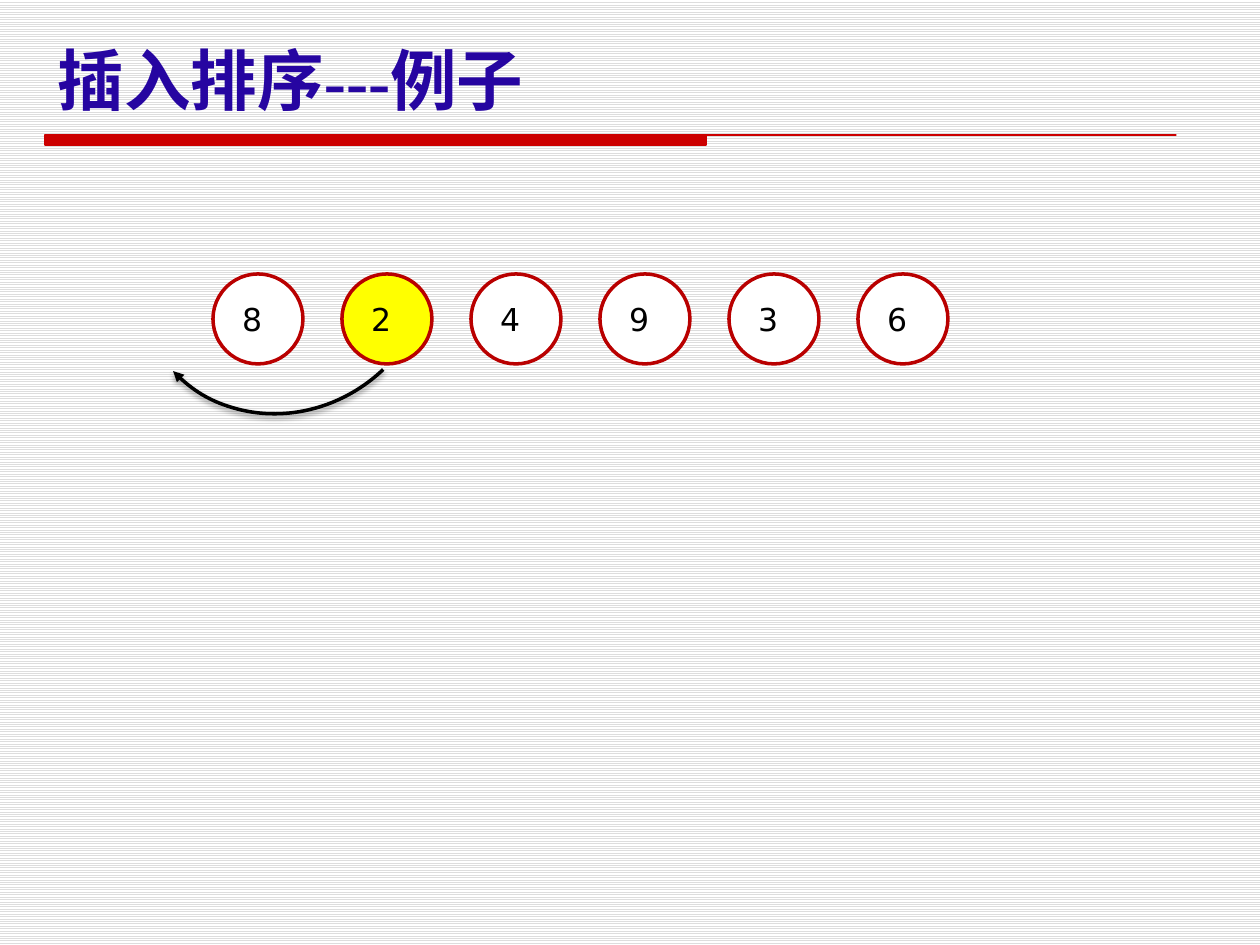
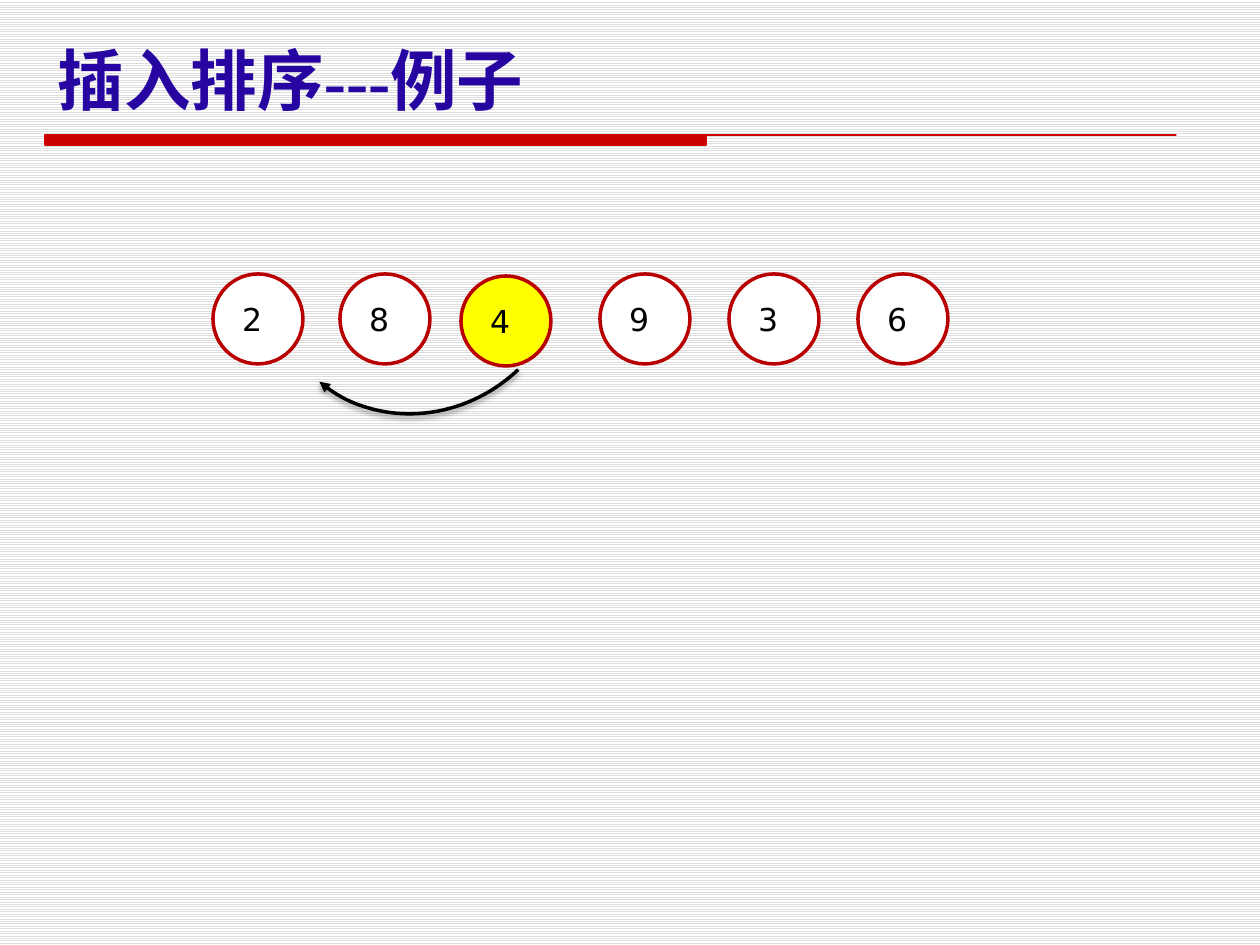
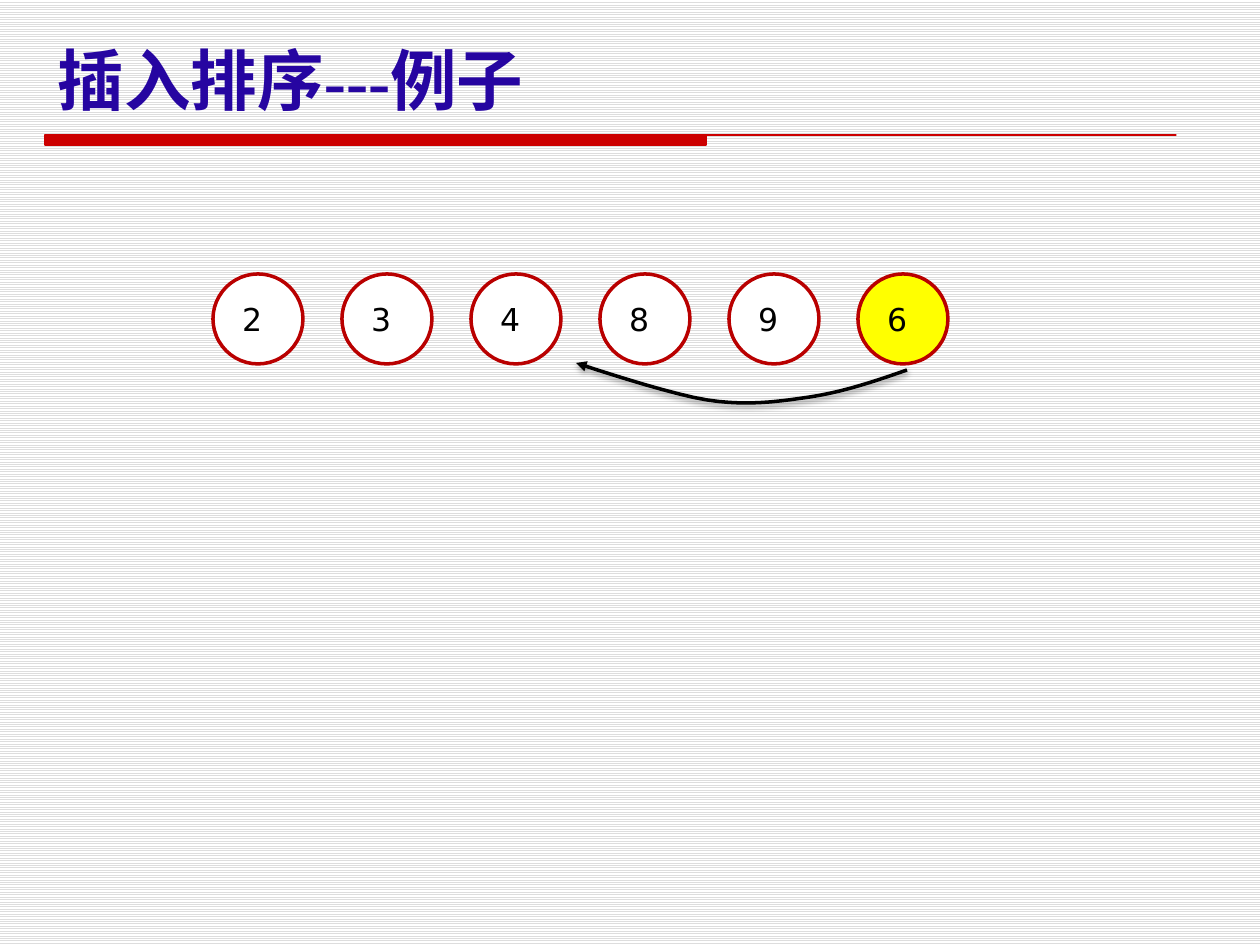
from lxml import etree
from pptx import Presentation
from pptx.dml.color import RGBColor
from pptx.enum.dml import MSO_PATTERN
from pptx.enum.shapes import MSO_SHAPE
from pptx.enum.text import MSO_ANCHOR, MSO_AUTO_SIZE, PP_ALIGN
from pptx.oxml.ns import qn
from pptx.util import Inches, Pt

ELLIPSE = MSO_SHAPE.OVAL
ARC = MSO_SHAPE.ARC
LEFT = PP_ALIGN.LEFT
BOTTOM = MSO_ANCHOR.BOTTOM
MIDDLE = MSO_ANCHOR.MIDDLE
NO_FIT = MSO_AUTO_SIZE.NONE
STRIPES = MSO_PATTERN.LIGHT_HORIZONTAL

WHITE = RGBColor(0xFF, 0xFF, 0xFF)
BLACK = RGBColor(0x00, 0x00, 0x00)
YELLOW = RGBColor(0xFF, 0xFF, 0x00)
RULE_RED = RGBColor(0xCC, 0x00, 0x00)
RING_RED = RGBColor(0xB9, 0x00, 0x00)
STRIPE_GREY = RGBColor(0xDD, 0xDD, 0xDD)
TITLE_BLUE = RGBColor(0x26, 0x05, 0xA1)

TITLE = "插入排序---例子"
SCALE = 914400 / 126
CIRCLE_LEFT, CIRCLE_TOP, CIRCLE_SIZE, CIRCLE_STEP = 213, 274, 90, 129
ARC_TOP, ARC_WIDTH, ARC_HEIGHT, ARC_TURN = 112, 287, 307, 46.5
CURVE_STEPS = 10


def px(length):
    return round(length * SCALE)


def style_arrow(arrow, end):
    arrow.fill.background()
    arrow.line.color.rgb = BLACK
    arrow.line.width = Pt(2)
    arrow.shadow.inherit = False
    properties = arrow.element.spPr
    etree.SubElement(properties.find(qn("a:ln")), qn(end), type="triangle")
    shadow = etree.SubElement(
        properties.find(qn("a:effectLst")), qn("a:outerShdw"),
        blurRad="40000", dist="20000", dir="5400000", rotWithShape="0")
    color = etree.SubElement(shadow, qn("a:srgbClr"), val=str(BLACK))
    etree.SubElement(color, qn("a:alpha"), val="38000")


deck = Presentation()
deck.slide_width = Inches(10)
deck.slide_height = Inches(7.5)
master = deck.slide_master
background = master.background.fill
background.patterned()
background.pattern = STRIPES
background.fore_color.rgb = STRIPE_GREY
background.back_color.rgb = WHITE

steps = [
    ("824936", 1, {}),
    ("284936", 2, {1: (340, 274), 2: (461, 276)}),
    ("234896", 5, {}),
]
pages = []
for numbers, active, moved in steps:
    page = deck.slides.add_slide(deck.slide_layouts[5])
    pages.append(page)

    title = page.shapes.title
    title.left, title.top, title.width, title.height = px(45), px(42), px(1181), px(83)
    title.text_frame.text = TITLE
    title.text_frame.auto_size = NO_FIT
    title.text_frame.vertical_anchor = BOTTOM
    para = title.text_frame.paragraphs[0]
    para.alignment = LEFT
    para.font.name = "Times New Roman"
    para.font.size = Pt(38)
    para.font.bold = True
    para.font.color.rgb = TITLE_BLUE

    for index, number in enumerate(numbers):
        left, top = moved.get(index, (CIRCLE_LEFT + index * CIRCLE_STEP, CIRCLE_TOP))
        circle = page.shapes.add_shape(
            ELLIPSE, px(left), px(top), px(CIRCLE_SIZE), px(CIRCLE_SIZE))
        circle.shadow.inherit = False
        circle.fill.solid()
        circle.fill.fore_color.rgb = YELLOW if index == active else WHITE
        circle.line.color.rgb = RING_RED
        circle.line.width = Pt(2)
        frame = circle.text_frame
        frame.word_wrap = True
        frame.vertical_anchor = MIDDLE
        frame.margin_left = px(16)
        frame.margin_top = frame.margin_right = frame.margin_bottom = px(6)
        frame.text = number
        para = frame.paragraphs[0]
        para.alignment = LEFT
        para.font.name = "DejaVu Sans"
        para.font.size = Pt(18)
        para.font.color.rgb = BLACK

for page, left, start in ((pages[0], 141, 162), (pages[1], 276, 165.46)):
    arc = page.shapes.add_shape(ARC, px(left), px(ARC_TOP), px(ARC_WIDTH), px(ARC_HEIGHT))
    arc.adjustments[0] = start
    arc.rotation = ARC_TURN
    arc.element.spPr.find(qn("a:xfrm")).set("flipV", "1")
    style_arrow(arc, "a:headEnd")

curves = [
    ((907, 370), (876, 381), (843, 392), (810, 397)),
    ((810, 397), (776, 402), (746, 406), (707, 400)),
    ((707, 400), (668, 394), (576, 363), (576, 363)),
]
points = []
for curve in curves:
    for step in range(1, CURVE_STEPS + 1):
        t = step / CURVE_STEPS
        weights = ((1 - t) ** 3, 3 * t * (1 - t) ** 2, 3 * t ** 2 * (1 - t), t ** 3)
        points.append(tuple(
            px(sum(weight * point[axis] for weight, point in zip(weights, curve)))
            for axis in (0, 1)))
start_x, start_y = curves[0][0]
builder = pages[2].shapes.build_freeform(px(start_x), px(start_y))
builder.add_line_segments(points, close=False)
style_arrow(builder.convert_to_shape(), "a:tailEnd")

builder = pages[0].shapes.build_freeform(45, 135, scale=SCALE)
builder.add_line_segments([(1176, 135), (706, 135), (706, 145), (45, 145)], close=True)
rule = builder.convert_to_shape()
rule.shadow.inherit = False
rule.fill.solid()
rule.fill.fore_color.rgb = RULE_RED
rule.line.color.rgb = RULE_RED
rule.line.width = Pt(0.75)
master.shapes.element.append(rule.element)

deck.save("out.pptx")
